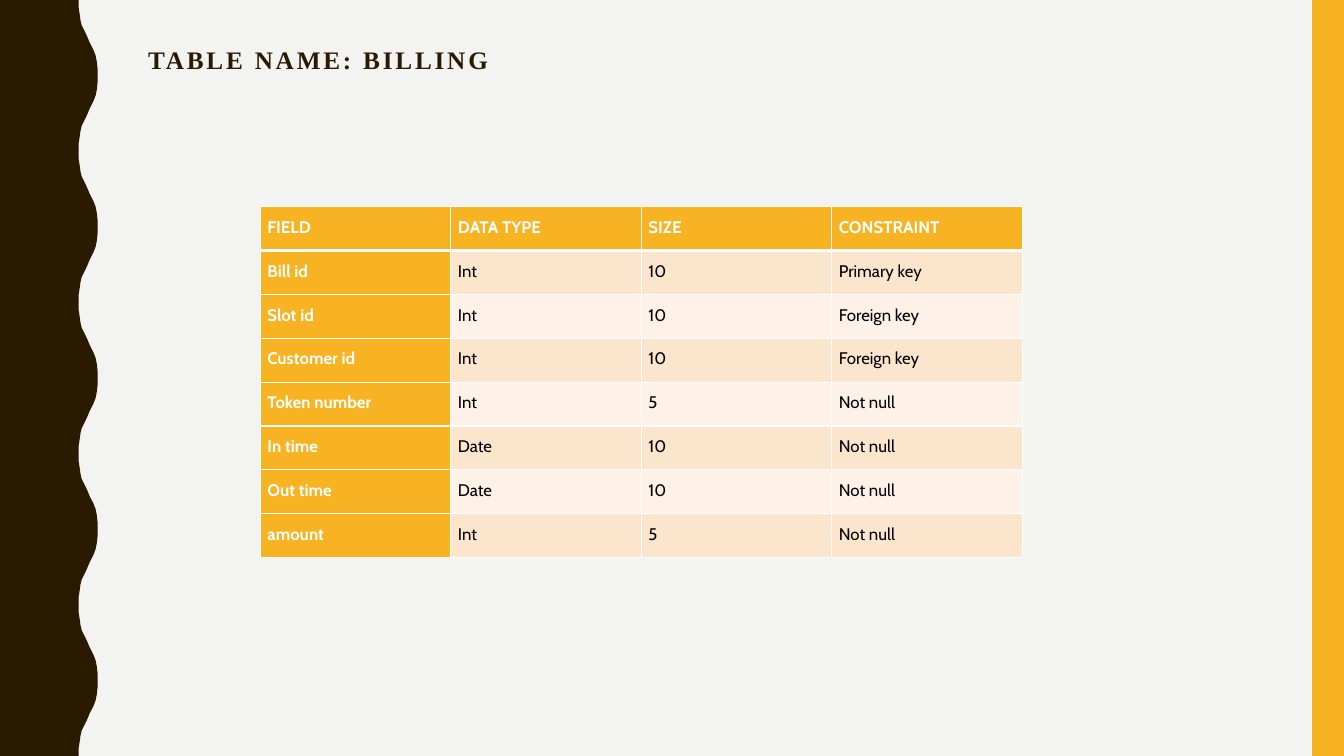
from lxml.etree import SubElement
from pptx import Presentation
from pptx.dml.color import RGBColor
from pptx.enum.shapes import MSO_SHAPE as Shape
from pptx.enum.text import MSO_ANCHOR as Anchor, MSO_AUTO_SIZE as AutoSize, PP_ALIGN as Align
from pptx.oxml.ns import qn
from pptx.util import Cm, Pt

WIDTH, HEIGHT = 33.87, 19.05
BROWN, AMBER, WHITE, BLACK = "2A1A00", "F8B323", "FFFFFF", "000000"
BANDS = ["FCE5CD", "FEF2E8"]
BACKGROUND = "F3F3F2"

# Half a wave, from trough to crest: (distance out, distance down) in cm
HALF_WAVE = [(0, 0), (0, 0.18), (0.03, 0.36), (0.05, 0.51), (0.08, 0.64),
             (0.13, 0.74), (0.18, 0.84), (0.23, 0.95), (0.28, 1.07),
             (0.33, 1.17), (0.38, 1.27), (0.43, 1.4), (0.46, 1.55),
             (0.48, 1.73), (0.48, 1.9)]
WAVES = 5

FIELDS = [
    ["FIELD", "DATA TYPE", "SIZE", "CONSTRAINT"],
    ["Bill id", "Int", "10", "Primary key"],
    ["Slot id", "Int", "10", "Foreign key"],
    ["Customer id", "Int", "10", "Foreign key"],
    ["Token number", "Int", "5", "Not null"],
    ["In time", "Date", "10", "Not null"],
    ["Out time", "Date", "10", "Not null"],
    ["amount", "Int", "5", "Not null"],
]


def rgb(color):
    return RGBColor.from_string(color)


def paint(sp, color):
    sp.shadow.inherit = False
    sp.fill.solid()
    sp.fill.fore_color.rgb = rgb(color)
    sp.line.fill.background()


def add_wavy_edge(slide, left, top, width, height):
    period = height / WAVES
    trough = left + width - HALF_WAVE[-1][0]
    points = []
    for i in range(WAVES):
        y = top + i * period
        points += [(trough + dx, y + dy) for dx, dy in HALF_WAVE]
        points += [(trough + dx, y + period - dy) for dx, dy in reversed(HALF_WAVE)]
    points.append((left, top + height))
    builder = slide.shapes.build_freeform(Cm(left), Cm(top))
    builder.add_line_segments([(Cm(x), Cm(y)) for x, y in points])
    paint(builder.convert_to_shape(), BROWN)


def add_side_bar(slide, left, top, width, height):
    sp = slide.shapes.add_shape(Shape.RECTANGLE, Cm(left), Cm(top), Cm(width), Cm(height))
    paint(sp, AMBER)


def add_title(slide, text, left, top, width, height):
    s = slide.shapes.title
    s.left, s.top, s.width, s.height = Cm(left), Cm(top), Cm(width), Cm(height)
    tf = s.text_frame
    tf.text = text
    tf.word_wrap = True
    tf.auto_size = AutoSize.NONE
    tf.vertical_anchor = Anchor.TOP
    p = tf.paragraphs[0]
    p.alignment = Align.LEFT
    p.line_spacing = 0.9
    p.font.name, p.font.size, p.font.bold = "Times New Roman", Pt(18), True
    p.font.color.rgb = rgb(BROWN)
    # Letter spacing, in hundredths of a point
    p.runs[0].font._element.set("spc", "200")


def set_borders(cell, top=1, bottom=1):
    tc_pr = cell._tc.get_or_add_tcPr()
    for side, points in (("L", 1), ("R", 1), ("T", top), ("B", bottom)):
        ln = SubElement(tc_pr, qn(f"a:ln{side}"), w=str(Pt(points)))
        fill = SubElement(ln, qn("a:solidFill"))
        SubElement(fill, qn("a:srgbClr"), val=WHITE)


def add_field_table(slide, rows, left, top, width, height):
    frame = slide.shapes.add_table(len(rows), len(rows[0]), Cm(left), Cm(top),
                                   Cm(width), Cm(height))
    table = frame.table
    table.first_col = True
    for r, row in enumerate(rows):
        for c, text in enumerate(row):
            cell = table.cell(r, c)
            heading = r == 0 or c == 0
            # A thick rule separates the header row
            set_borders(cell, top=3 if r == 1 else 1, bottom=3 if r == 0 else 1)
            cell.fill.solid()
            cell.fill.fore_color.rgb = rgb(AMBER if heading else BANDS[(r - 1) % 2])
            cell.margin_left = cell.margin_right = Cm(0.18)
            cell.margin_top = cell.margin_bottom = 0
            cell.text = text
            p = cell.text_frame.paragraphs[0]
            p.line_spacing = 1.5
            p.font.name, p.font.size, p.font.bold = "Cabin", Pt(12), heading
            p.font.color.rgb = rgb(WHITE if heading else BLACK)


def main():
    prs = Presentation()
    prs.slide_width, prs.slide_height = Cm(WIDTH), Cm(HEIGHT)
    slide = prs.slides.add_slide(prs.slide_layouts[5])
    slide.background.fill.solid()
    slide.background.fill.fore_color.rgb = rgb(BACKGROUND)

    # Decoration on both sides
    add_wavy_edge(slide, 0, 0, 2.46, HEIGHT)
    add_side_bar(slide, WIDTH - 0.8, 0, 0.8, HEIGHT)

    # Title and table
    add_title(slide, "TABLE NAME: BILLING", 3.48, 1.07, 28.27, 4.14)
    add_field_table(slide, FIELDS, 6.56, 5.21, 19.2, 8.84)
    prs.save("out.pptx")


if __name__ == "__main__":
    main()
